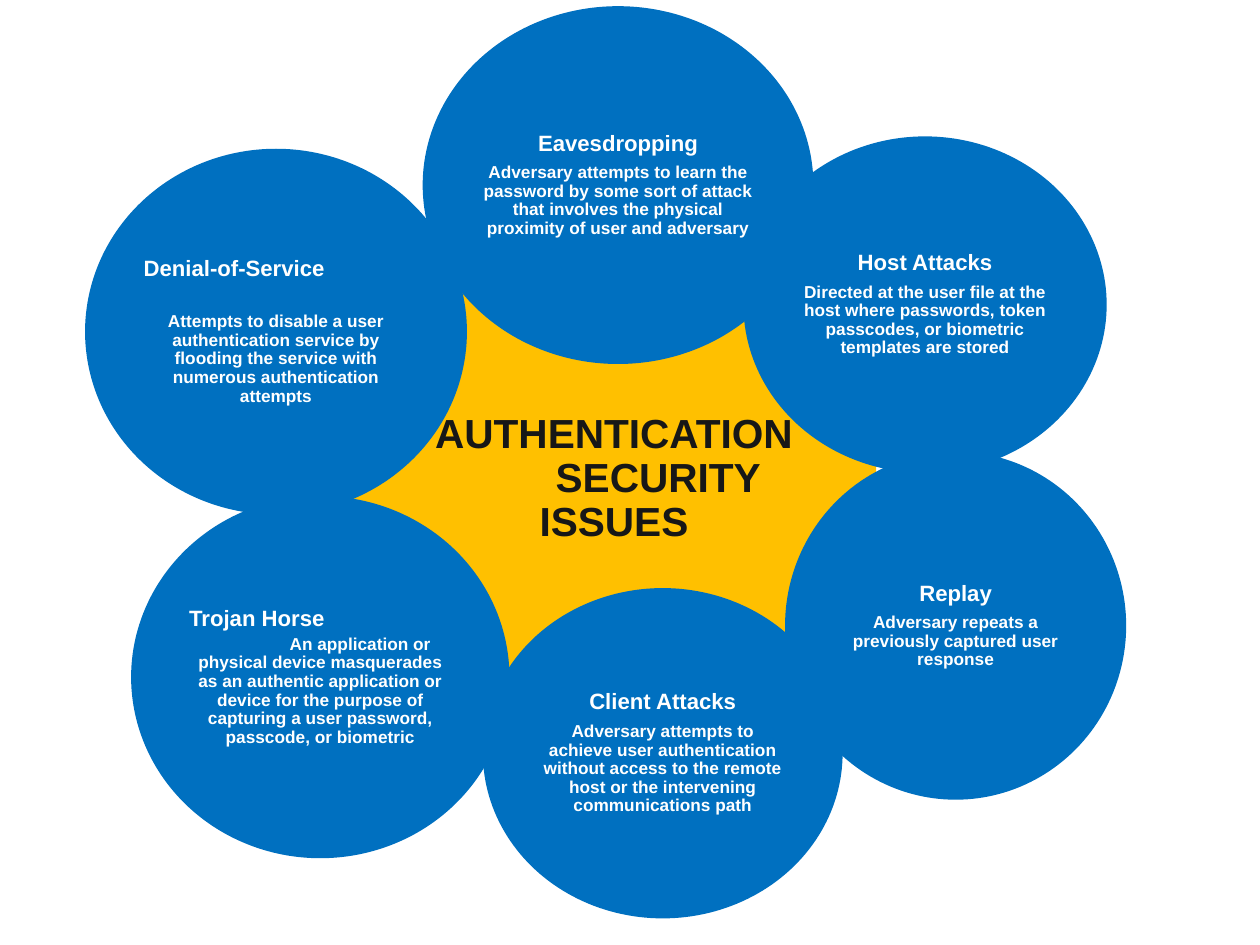
import pptx
import pptx.dml.color
import pptx.enum.shapes
import pptx.enum.text
import pptx.util

Inches = pptx.util.Inches
Pt = pptx.util.Pt
ALIGN = pptx.enum.text.PP_ALIGN

BLUE = pptx.dml.color.RGBColor(0x00, 0x70, 0xC0)
GOLD = pptx.dml.color.RGBColor(0xFF, 0xC0, 0x00)
WHITE = pptx.dml.color.RGBColor(0xFF, 0xFF, 0xFF)
INK = pptx.dml.color.RGBColor(0x17, 0x17, 0x17)

FONT = "Arial"
INSET = 0.1464  # share of an ellipse's size outside its text rectangle, per side

CORE_BOX = (3.97, 2.45, 5.92, 5.92)
# Title lines with their left indent in inches
TITLE_LINES = [("AUTHENTICATION", 0), ("SECURITY", 1), ("ISSUES", 0)]

# Box, heading, description, heading alignment, gap below heading (pt),
# first-line indent of the description (inches)
PETALS = [
    ((4.77, 0.07, 4.41, 4.04), "Eavesdropping",
     "Adversary attempts to learn the password by some sort of attack that "
     "involves the physical proximity of user and adversary",
     ALIGN.CENTER, 6.3, 0),
    ((8.39, 1.54, 4.1, 3.8), "Host Attacks",
     "Directed at the user file at the host where passwords, token passcodes, "
     "or biometric templates are stored",
     ALIGN.CENTER, 6.3, 0),
    ((8.86, 5.1, 3.85, 3.93), "Replay",
     "Adversary repeats a previously captured user response",
     ALIGN.CENTER, 6.3, 0),
    ((5.45, 6.64, 4.06, 3.73), "Client Attacks",
     "Adversary attempts to achieve user authentication without access to the "
     "remote host or the intervening communications path",
     ALIGN.CENTER, 6.3, 0),
    ((1.48, 5.6, 4.27, 4.09), "Trojan Horse",
     "An application or physical device masquerades as an authentic application "
     "or device for the purpose of capturing a user password, passcode, or "
     "biometric",
     ALIGN.LEFT, 3.6, 0.9),
    ((0.96, 1.68, 4.31, 4.13), "Denial-of-Service",
     "Attempts to disable a user authentication service by flooding the service "
     "with numerous authentication attempts",
     ALIGN.LEFT, 25.5, 0),
]


def add_ellipse(slide, box, color):
    sp = slide.shapes.add_shape(
        pptx.enum.shapes.MSO_SHAPE.OVAL, *[Inches(v) for v in box])
    sp.shadow.inherit = False
    sp.fill.solid()
    sp.fill.fore_color.rgb = color
    sp.line.fill.background()
    return sp


def set_frame(tf, margin):
    tf.word_wrap = True
    tf.auto_size = pptx.enum.text.MSO_AUTO_SIZE.NONE
    tf.vertical_anchor = pptx.enum.text.MSO_ANCHOR.MIDDLE
    tf.margin_left = tf.margin_right = Inches(margin)
    tf.margin_top = tf.margin_bottom = Inches(margin)


def write_paragraph(p, text, size, color, align=ALIGN.CENTER, after=0,
                    left=0, first=0):
    """Fill one bold paragraph; left and first are indents in inches."""
    p.alignment = align
    p.line_spacing = 0.9
    p.space_before = Pt(0)
    p.space_after = Pt(after)
    pPr = p._p.get_or_add_pPr()
    pPr.set("marL", str(Inches(left)))
    pPr.set("indent", str(Inches(first)))
    r = p.add_run()
    r.text = text
    r.font.name = FONT
    r.font.size = Pt(size)
    r.font.bold = True
    r.font.color.rgb = color


def add_core(slide, box):
    """Gold centre with the slide title in its text rectangle."""
    add_ellipse(slide, box, GOLD)
    x, y, w, h = box
    title = slide.shapes.title
    title.left, title.top = Inches(x + w * INSET), Inches(y + h * INSET)
    title.width, title.height = Inches(w * (1 - 2 * INSET)), Inches(h * (1 - 2 * INSET))
    slide.shapes._spTree.append(title._element)  # in front of the gold ellipse
    tf = title.text_frame
    set_frame(tf, 0.05)
    for i, (text, left) in enumerate(TITLE_LINES):
        p = tf.add_paragraph() if i else tf.paragraphs[0]
        write_paragraph(p, text, 33, INK, left=left)


def add_petal(slide, box, heading, description, align, gap, first):
    tf = add_ellipse(slide, box, BLUE).text_frame
    set_frame(tf, 0.03)
    write_paragraph(tf.paragraphs[0], heading, 18, WHITE, align, gap)
    write_paragraph(tf.add_paragraph(), description, 14, WHITE, first=first)


def main():
    prs = pptx.Presentation()
    prs.slide_width, prs.slide_height = Inches(14.22), Inches(10.67)
    slide = prs.slides.add_slide(prs.slide_layouts.get_by_name("Title Only"))
    add_core(slide, CORE_BOX)
    for petal in PETALS:
        add_petal(slide, *petal)
    prs.save("out.pptx")


if __name__ == "__main__":
    main()
